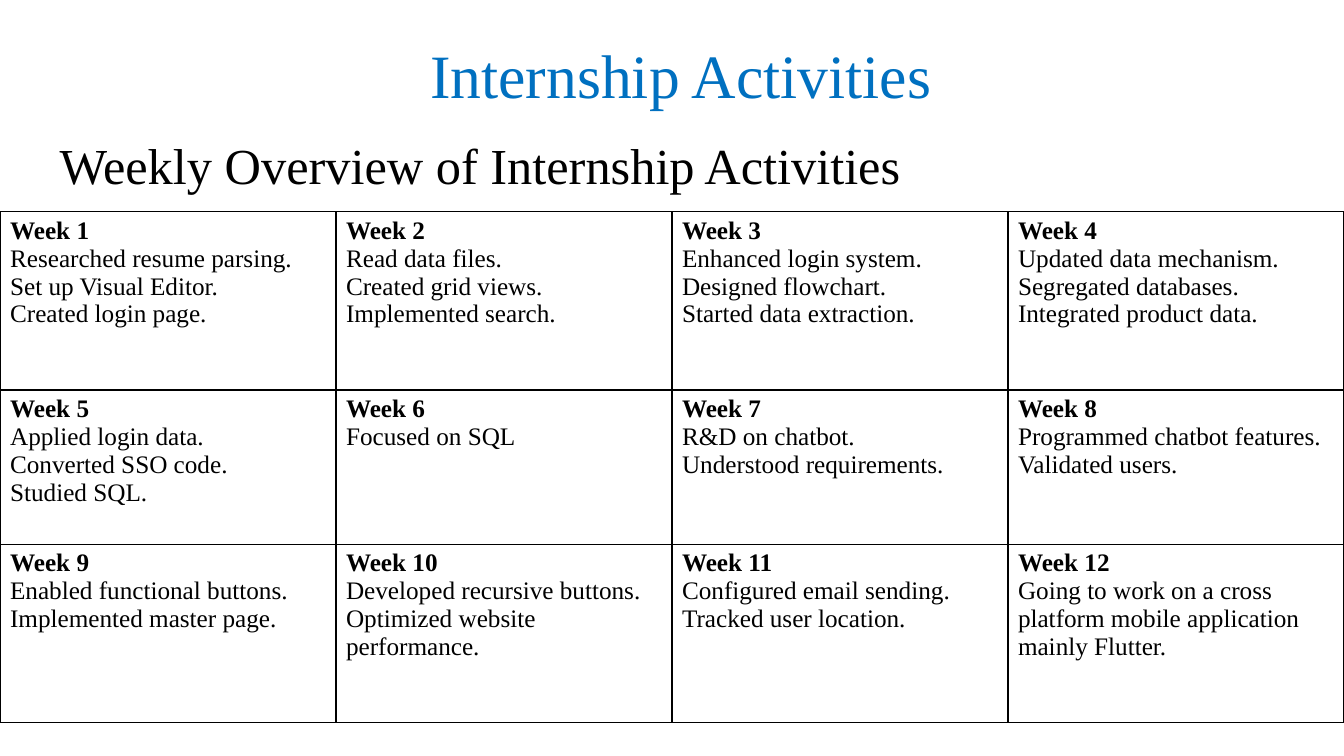
import pptx
import pptx.dml.color
import pptx.enum.text
import pptx.oxml
import pptx.oxml.ns
import pptx.util

Inches, Pt = pptx.util.Inches, pptx.util.Pt
RGBColor = pptx.dml.color.RGBColor
PP_ALIGN = pptx.enum.text.PP_ALIGN
MSO_ANCHOR = pptx.enum.text.MSO_ANCHOR

BLACK = RGBColor(0x00, 0x00, 0x00)
WHITE = RGBColor(0xFF, 0xFF, 0xFF)
BLUE = RGBColor(0x00, 0x70, 0xC0)

SLIDE_W, SLIDE_H = 13.33, 7.5
COLUMNS = 4
ROW_HEIGHTS = [1.77, 1.53, 1.77]

ACTIVITIES = [
    ["Researched resume parsing.", "Set up Visual Editor.", "Created login page."],
    ["Read data files.", "Created grid views.", "Implemented search."],
    ["Enhanced login system.", "Designed flowchart.", "Started data extraction."],
    ["Updated data mechanism.", "Segregated databases.", "Integrated product data."],
    ["Applied login data.", "Converted SSO code.", "Studied SQL."],
    ["Focused on SQL"],
    ["R&D on chatbot.", "Understood requirements."],
    ["Programmed chatbot features.", "Validated users."],
    ["Enabled functional buttons.", "Implemented master page."],
    ["Developed recursive buttons.", "Optimized website performance."],
    ["Configured email sending.", "Tracked user location."],
    ["Going to work on a cross platform mobile application mainly Flutter."],
]


class SlideBuilder:
    font_name = "Times New Roman"

    def __init__(self, prs):
        self.s = prs.slides.add_slide(prs.slide_layouts[5])

    def format_font(self, p, size, color=BLACK, bold=False):
        for name, value in {"name": self.font_name, "size": Pt(size), "bold": bold}.items():
            setattr(p.font, name, value)
        p.font.color.rgb = color

    def title(self, text, left, top, width, height):
        sp = self.s.shapes.title
        for name, value in {"left": left, "top": top, "width": width, "height": height}.items():
            setattr(sp, name, Inches(value))
        tf = sp.text_frame
        frame_format = {
            "text": text,
            "word_wrap": True,
            "auto_size": pptx.enum.text.MSO_AUTO_SIZE.NONE,
            "vertical_anchor": MSO_ANCHOR.MIDDLE,
            "margin_top": 0,
            "margin_bottom": 0,
        }
        for name, value in frame_format.items():
            setattr(tf, name, value)
        p = tf.paragraphs[0]
        p.alignment = PP_ALIGN.LEFT
        p.line_spacing = 0.9
        self.format_font(p, 36)

    def heading(self, text, left, top, width, height):
        sp = self.s.shapes.add_textbox(*map(Inches, (left, top, width, height)))
        tf = sp.text_frame
        tf.word_wrap = True
        p = tf.paragraphs[0]
        p.text = text
        p.alignment = PP_ALIGN.CENTER
        self.format_font(p, 44, BLUE)

    def border(self, cell):
        """Draw a thin black line on all four sides of the cell."""
        tc_pr = cell._tc.get_or_add_tcPr()
        for side in "LRTB":
            tc_pr.append(pptx.oxml.parse_xml(
                f'<a:ln{side} {pptx.oxml.ns.nsdecls("a")} w="{Pt(1)}">'
                f'<a:solidFill><a:srgbClr val="{BLACK}"/></a:solidFill></a:ln{side}>'))

    def week_cell(self, cell, week, activities):
        self.border(cell)
        cell.fill.solid()
        cell.fill.fore_color.rgb = WHITE
        tf = cell.text_frame
        tf.text = "\n".join([f"Week {week}", *activities])
        for i, p in enumerate(tf.paragraphs):
            self.format_font(p, 18, bold=i == 0)

    def week_table(self, top):
        rows = len(ROW_HEIGHTS)
        table = self.s.shapes.add_table(
            rows, COLUMNS, 0, Inches(top), Inches(SLIDE_W), Inches(sum(ROW_HEIGHTS))).table
        table.first_row = table.horz_banding = False
        for row, height in zip(table.rows, ROW_HEIGHTS):
            row.height = Inches(height)
        for i, activities in enumerate(ACTIVITIES):
            self.week_cell(table.cell(*divmod(i, COLUMNS)), i + 1, activities)


def main():
    prs = pptx.Presentation()
    prs.slide_width, prs.slide_height = Inches(SLIDE_W), Inches(SLIDE_H)
    slide = SlideBuilder(prs)
    slide.title("Weekly Overview of Internship Activities", 0.49, 1.4, 11, 0.54)
    slide.week_table(2.1)
    slide.heading("Internship Activities", 2.86, 0.32, 7.79, 0.84)
    prs.save("out.pptx")


if __name__ == "__main__":
    main()
